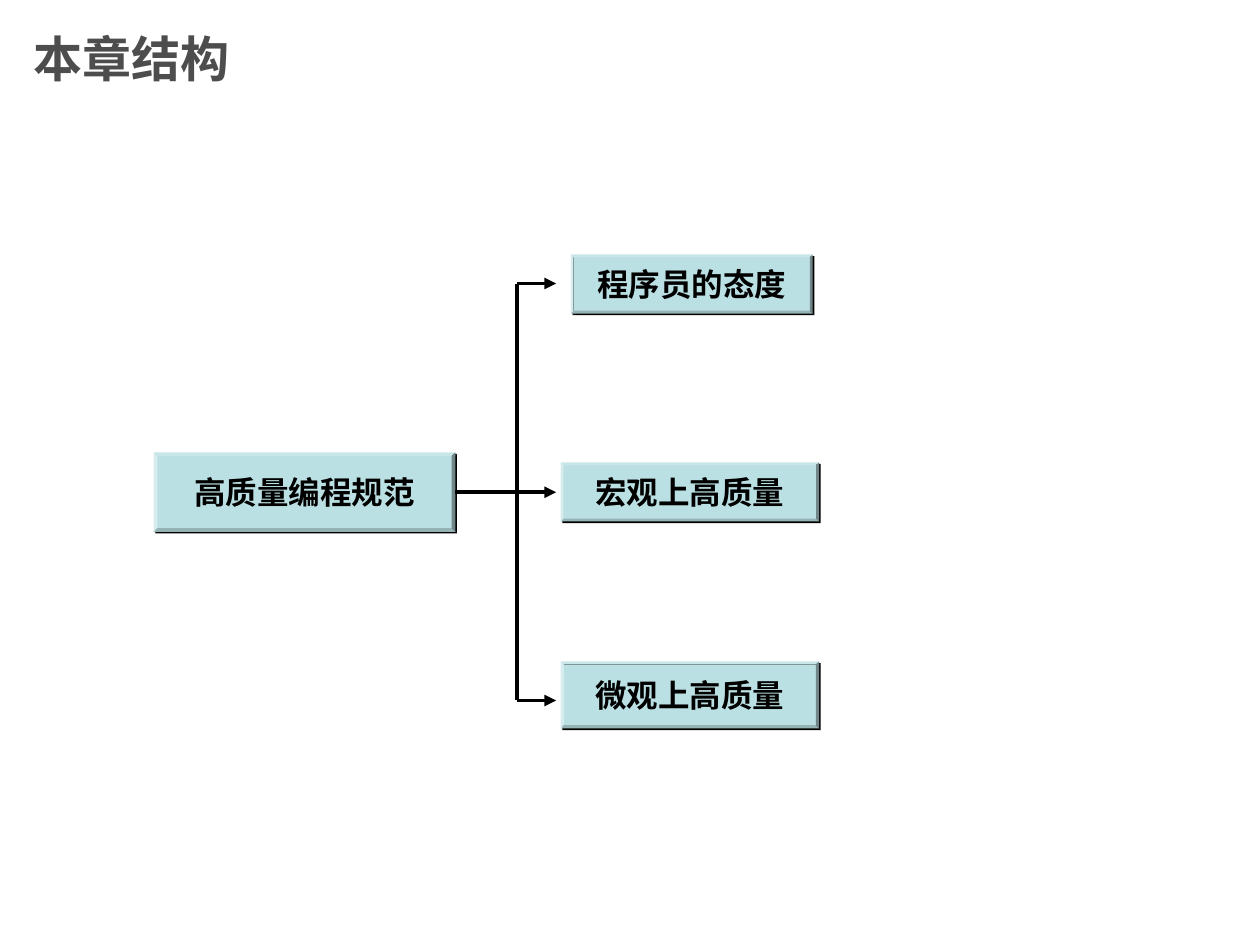
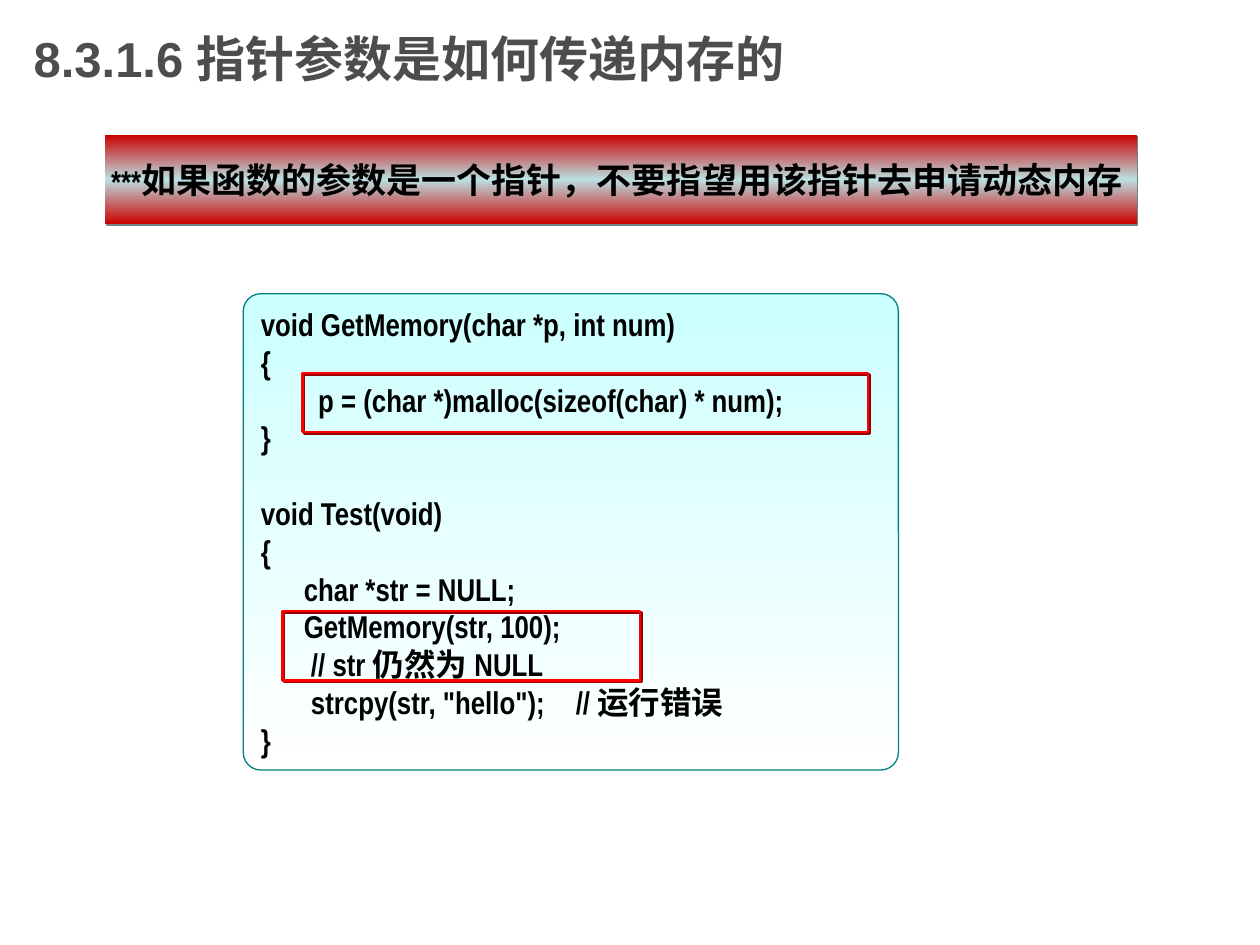
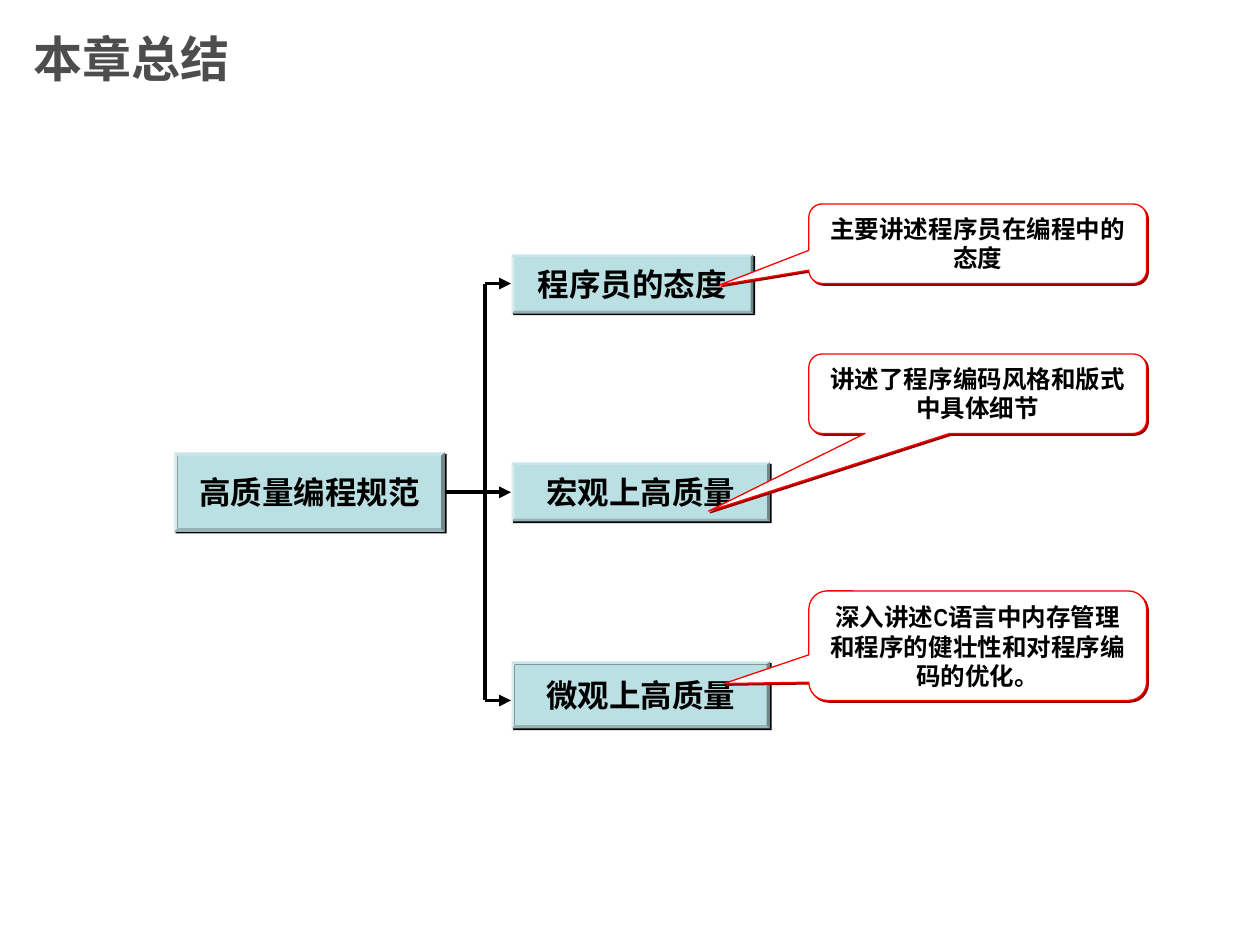
from lxml.etree import SubElement
from pptx import Presentation
from pptx.dml.color import RGBColor
from pptx.enum.shapes import MSO_CONNECTOR as LINK, MSO_SHAPE as SHAPE
from pptx.enum.text import MSO_ANCHOR as ANCHOR, PP_ALIGN as ALIGN
from pptx.oxml.ns import qn
from pptx.util import Pt

COLORS = {
    "title": "4D4D4D", "text": "000000", "white": "FFFFFF",
    "node": "BBE0E3", "node_shadow": "000000",
    "banner": "CC0000", "banner_shadow": "6F8587",
    "code": "CCFFFF", "code_edge": "008080",
    "mark": "FF0000", "mark_shadow": "980000",
}
TITLE = {"name": "Arial", "size": Pt(28), "bold": True}
BODY = {"name": "Arial Narrow", "size": Pt(18), "bold": True}
NOTE = {**BODY, "size": Pt(14)}
BANNER = {**BODY, "size": Pt(20)}
CODE_LINE = 21.6


def rgb(key):
    return RGBColor.from_string(COLORS[key])


class Deck:
    """Holds the shared style and the slide being built."""

    def __init__(self):
        self.prs = Presentation()
        self.prs.slide_width, self.prs.slide_height = Pt(720), Pt(540)
        self.slide = None

    def new_slide(self, heading):
        self.slide = self.prs.slides.add_slide(self.prs.slide_layouts[6])
        title = self.slide.shapes.add_textbox(Pt(12.2), Pt(0), Pt(540), Pt(66.2))
        self.frame(title, ANCHOR.MIDDLE, True)
        self.add_words(title.text_frame.paragraphs[0], heading, TITLE, "title")

    def frame(self, shape, anchor, wrap):
        layout = {"vertical_anchor": anchor, "word_wrap": wrap,
                  "margin_left": Pt(7.2), "margin_right": Pt(7.2),
                  "margin_top": Pt(3.6), "margin_bottom": Pt(3.6)}
        for key, value in layout.items():
            setattr(shape.text_frame, key, value)

    def add_words(self, paragraph, words, style, color="text"):
        run = paragraph.add_run()
        run.text = words
        for key, value in style.items():
            setattr(run.font, key, value)
        run.font.color.rgb = rgb(color)

    def shape(self, kind, area, fill=(), edge=None, weight=0.75, shadow=None, adjust=()):
        """Draw a preset; several fill colours make a top-down gradient."""
        shape = self.slide.shapes.add_shape(kind, *map(Pt, area))
        for index, value in enumerate(adjust):
            shape.adjustments[index] = value
        if len(fill) > 1:
            self.gradient(shape, fill)
        elif fill:
            shape.fill.solid()
            shape.fill.fore_color.rgb = rgb(fill[0])
        else:
            shape.fill.background()
        if edge:
            shape.line.color.rgb = rgb(edge)
            shape.line.width = Pt(weight)
        else:
            shape.line.fill.background()
        shape.shadow.inherit = False
        if shadow:
            effects = shape._element.spPr.find(qn("a:effectLst"))
            outer = SubElement(effects, qn("a:outerShdw"), dist=str(Pt(1.4)),
                               dir="2700000", algn="ctr", rotWithShape="0")
            SubElement(outer, qn("a:srgbClr"), val=COLORS[shadow])
        return shape

    def gradient(self, shape, keys):
        shape.fill.gradient()
        shape.fill.gradient_angle = 270
        stops = shape._element.spPr.find(".//" + qn("a:gsLst"))
        for stop in list(stops):
            stops.remove(stop)
        for index, key in enumerate(keys):
            position = 100000 * index // (len(keys) - 1)
            stop = SubElement(stops, qn("a:gs"), pos=str(position))
            SubElement(stop, qn("a:srgbClr"), val=COLORS[key])

    def text_shape(self, kind, area, runs, anchor=ANCHOR.MIDDLE, wrap=False, **look):
        shape = self.shape(kind, area, **look)
        self.frame(shape, anchor, wrap)
        paragraph = shape.text_frame.paragraphs[0]
        paragraph.alignment = ALIGN.CENTER
        for words, style in runs:
            self.add_words(paragraph, words, style)

    def node(self, area, words):
        self.text_shape(SHAPE.BEVEL, area, [(words, BODY)], fill=["node"],
                        shadow="node_shadow", adjust=[0.047])

    def callout(self, top, height, pointer, words):
        self.text_shape(SHAPE.ROUNDED_RECTANGULAR_CALLOUT, (462.2, top, 193, height),
                        [(words, NOTE)], anchor=ANCHOR.TOP, wrap=True, fill=["white"],
                        edge="mark", shadow="mark_shadow", adjust=(*pointer, 0.167))

    def code(self, area, lines):
        panel = self.shape(SHAPE.ROUNDED_RECTANGLE, area, fill=["code", "white"],
                           edge="code_edge", adjust=[0.037])
        self.frame(panel, ANCHOR.TOP, True)
        for index, words in enumerate(lines):
            frame = panel.text_frame
            paragraph = frame.add_paragraph() if index else frame.paragraphs[0]
            paragraph.alignment = ALIGN.LEFT
            if index and words.startswith("void"):
                paragraph.space_before = Pt(CODE_LINE)
            self.add_words(paragraph, words, BODY)

    def mark(self, area):
        self.shape(SHAPE.RECTANGLE, area, edge="mark", weight=1.5, shadow="mark_shadow")

    def line(self, x1, y1, x2, y2, arrow=False):
        link = self.slide.shapes.add_connector(LINK.STRAIGHT, *map(Pt, (x1, y1, x2, y2)))
        link.line.color.rgb = rgb("text")
        link.line.width = Pt(2.25)
        properties = link._element.spPr
        if arrow:
            SubElement(properties.find(qn("a:ln")), qn("a:tailEnd"), type="triangle")
        SubElement(properties, qn("a:effectLst"))

    def chapter_tree(self, root_left, root_width, trunk, tip, lefts):
        """Chapter box on the left, an arrow to each of its three topics."""
        topics = [("程序员的态度", 145.4, 138.2, 33.8, 162),
                  ("宏观上高质量", 264.2, 147.6, 33.8, 281.3),
                  ("微观上高质量", 378, 147.6, 38.2, 400.3)]
        self.node((root_left, 258.5, root_width, 45.4), "高质量编程规范")
        for left, (words, top, width, height, _) in zip(lefts, topics):
            self.node((left, top, width, height), words)
        levels = [topic[-1] for topic in topics]
        self.line(trunk, levels[0], trunk, levels[-1])
        # Bevels number their sites unlike rectangles, so ends are set by position
        self.line(root_left + root_width, levels[1], trunk, levels[1])
        for level in levels:
            self.line(trunk, level, tip, level, arrow=True)


def main():
    deck = Deck()

    # Chapter structure
    deck.new_slide("本章结构")
    deck.chapter_tree(87.8, 172.4, trunk=295.2, tip=317.8, lefts=(326.2, 320.4, 320.4))

    # Pointer parameters
    deck.new_slide("8.3.1.6 指针参数是如何传递内存的")
    deck.text_shape(
        SHAPE.RECTANGLE, (59.8, 77, 589.7, 51.1),
        [("***", BODY),
         ("如果函数的参数是一个指针，不要指望用该指针去申请动态内存", BANNER),
         (" ", BODY)],
        fill=["banner", "node", "banner"], shadow="banner_shadow")
    deck.code((139, 167.8, 374.4, 272.2), [
        "void GetMemory(char *p, int num)",
        "{",
        "        p = (char *)malloc(sizeof(char) * num);",
        "}",
        "void Test(void)",
        "{",
        "      char *str = NULL;",
        "      GetMemory(str, 100);",
        "       // str 仍然为 NULL",
        "       strcpy(str, \"hello\");\t// 运行错误",
        "}",
    ])
    deck.mark((172.8, 213.1, 323.3, 33.8))
    deck.mark((161.3, 349.2, 204.5, 39.6))

    # Chapter summary
    deck.new_slide("本章总结")
    deck.chapter_tree(99.4, 154.8, trunk=277.2, tip=292, lefts=[292.3] * 3)
    deck.callout(116.6, 45.4, (-0.764, 0.519), "主要讲述程序员在编程中的态度")
    deck.callout(202.3, 45.4, (-0.797, 1.478), "讲述了程序编码风格和版式中具体细节")
    deck.callout(337.7, 62.6, (-0.751, 0.346),
                 "深入讲述C语言中内存管理和程序的健壮性和对程序编码的优化。")

    deck.prs.save("out.pptx")


if __name__ == "__main__":
    main()
